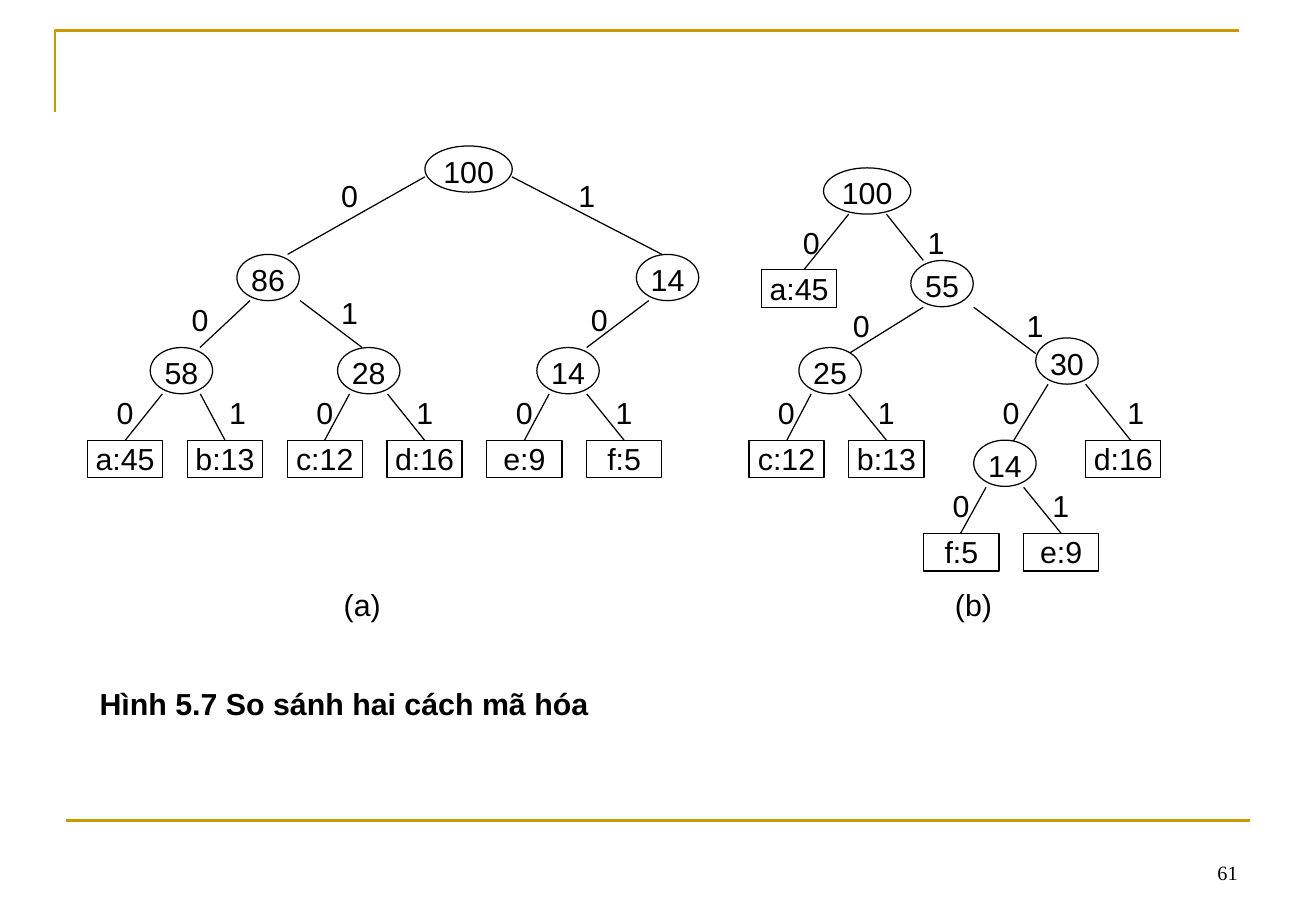
"""Build a slide comparing a fixed-length code tree with a Huffman code tree."""
from pptx import Presentation
from pptx.dml.color import RGBColor
from pptx.enum.shapes import MSO_CONNECTOR as LINE, MSO_SHAPE as SHAPE
from pptx.enum.text import MSO_ANCHOR as ANCHOR, PP_ALIGN as ALIGN
from pptx.oxml.ns import qn
from pptx.util import Pt

BLACK, WHITE, GOLD = "000000", "FFFFFF", "CC9900"
color = RGBColor.from_string

deck = Presentation()
deck.slide_width, deck.slide_height = Pt(780.48), Pt(540)
slide = deck.slides.add_slide(deck.slide_layouts[6])
shapes = slide.shapes


def write(text, left, top, width, height, outline=None, font="Arial", size=18,
          bold=False, align=ALIGN.CENTER, anchor=ANCHOR.TOP, inset=(0, 0)):
    box = [Pt(left), Pt(top), Pt(width), Pt(height)]
    if outline is None:
        holder = shapes.add_textbox(*box)
    else:
        holder = shapes.add_shape(outline, *box)
        holder.shadow.inherit = False
        holder.fill.solid()
        holder.fill.fore_color.rgb = color(WHITE)
        holder.line.color.rgb = color(BLACK)
        holder.line.width = Pt(0.75)
    frame = holder.text_frame
    frame.word_wrap = True
    frame.vertical_anchor = anchor
    frame.margin_left = frame.margin_right = Pt(inset[0])
    frame.margin_top = frame.margin_bottom = Pt(inset[1])
    paragraph = frame.paragraphs[0]
    paragraph.alignment = align
    run = paragraph.add_run()
    run.text = text
    run.font.name, run.font.size, run.font.bold = font, Pt(size), bold
    run.font.color.rgb = color(BLACK)


def draw_line(x1, y1, x2, y2, stroke=BLACK, width=0.75):
    line = shapes.add_connector(LINE.STRAIGHT, Pt(x1), Pt(y1), Pt(x2), Pt(y2))
    line.line.color.rgb = color(stroke)
    line.line.width = Pt(width)
    properties = line._element.spPr
    properties.append(properties.makeelement(qn("a:effectLst"), {}))


builder = shapes.build_freeform(Pt(32.6), Pt(66.2))
builder.add_line_segments([(Pt(32.6), Pt(18)), (Pt(734.6), Pt(18))], close=False)
corner = builder.convert_to_shape()
corner.shadow.inherit = False
corner.fill.background()
corner.line.color.rgb = color(GOLD)
corner.line.width = Pt(1.5)
draw_line(39.1, 486.2, 741.1, 486.2, GOLD, 1.5)

# Branch: start x, y, end x, y, bit, bit centre x, bit top
branches = [
    (252, 104.8, 170.6, 150.8, "0", 207.3, 104.8),
    (303.6, 104.8, 392.6, 150.8, "1", 348.1, 104.8),
    (148.3, 178.2, 118.6, 206, "0", 118.6, 178.2),
    (178, 178.2, 214.8, 206, "1", 207.3, 174.5),
    (384.8, 178.2, 348, 206, "0", 355.5, 178.2),
    (96.3, 233.5, 74.4, 260.9, "0", 74.2, 233.5),
    (118.8, 233.5, 133.4, 260.9, "1", 140.9, 233.5),
    (207.3, 233.5, 192.6, 260.9, "0", 192.7, 233.5),
    (229.8, 233.5, 251.8, 260.9, "1", 251.9, 233.5),
    (325.7, 233.5, 311.1, 260.9, "0", 311, 233.5),
    (348, 233.5, 370.1, 260.9, "1", 370.2, 233.5),
    (503.4, 126.9, 473.9, 163.5, "0", 481.2, 132.7),
    (525.7, 126.9, 547.6, 154.4, "1", 555.1, 132.7),
    (547.6, 182.1, 503.4, 209.6, "0", 510.9, 182.1),
    (577.5, 182.1, 614.3, 209.6, "1", 613.9, 182.1),
    (481.1, 233.5, 466.7, 260.9, "0", 466.4, 233.5),
    (503.4, 233.5, 525.7, 260.9, "1", 525.6, 233.5),
    (621.6, 227.8, 599.2, 264.4, "0", 599.6, 233.5),
    (643.9, 227.8, 673.3, 264.4, "1", 673.7, 233.5),
    (584.8, 288.9, 569.7, 316.2, "0", 570, 288.9),
    (607.1, 288.9, 629.4, 316.2, "1", 629.1, 288.9),
]
for x1, y1, x2, y2, bit, bit_x, bit_top in branches:
    draw_line(x1, y1, x2, y2)
    write(bit, bit_x - 14.8, bit_top, 29.6, 22.3)

roots = [("100", 277.9, 86.5), ("100", 514.3, 99.5)]
inner_nodes = [
    ("86", 159, 150.8), ("14", 395.9, 150.8),
    ("58", 107.6, 206), ("28", 218.7, 206), ("14", 336.9, 206),
    ("55", 558.7, 154.4), ("25", 492.3, 206), ("30", 632.8, 200.3),
    ("14", 596, 260.9),
]
fixed_codes = ["a:45", "b:13", "c:12", "d:16", "e:9", "f:5"]
leaves = [(code, 74.2 + 59.2 * i, 260.9) for i, code in enumerate(fixed_codes)]
leaves += [
    ("a:45", 473.9, 159.9), ("c:12", 466.5, 260.9), ("b:13", 525.7, 260.9),
    ("d:16", 666.2, 260.9), ("f:5", 570.2, 316.2), ("e:9", 629.4, 316.2),
]
for nodes, outline, width, height in [
    (roots, SHAPE.OVAL, 51.8, 27.4),
    (inner_nodes, SHAPE.OVAL, 37, 27.4),
    (leaves, SHAPE.RECTANGLE, 44.6, 22.3),
]:
    for label, center, top in nodes:
        write(label, center - width / 2, top, width, height, outline)

for tree, left in [("(a)", 200.1), ("(b)", 562.6)]:
    write(tree, left, 347.3, 29.6, 22.3)
write("Hình 5.7 So sánh hai cách mã hóa", 52, 402.8, 643.7, 137.2,
      bold=True, align=ALIGN.JUSTIFY, inset=(7.2, 3.6))
write("61", 558.9, 491.8, 182.2, 36, font="Times New Roman", size=12,
      align=ALIGN.RIGHT, anchor=ANCHOR.BOTTOM, inset=(7.2, 3.6))

deck.save("out.pptx")
